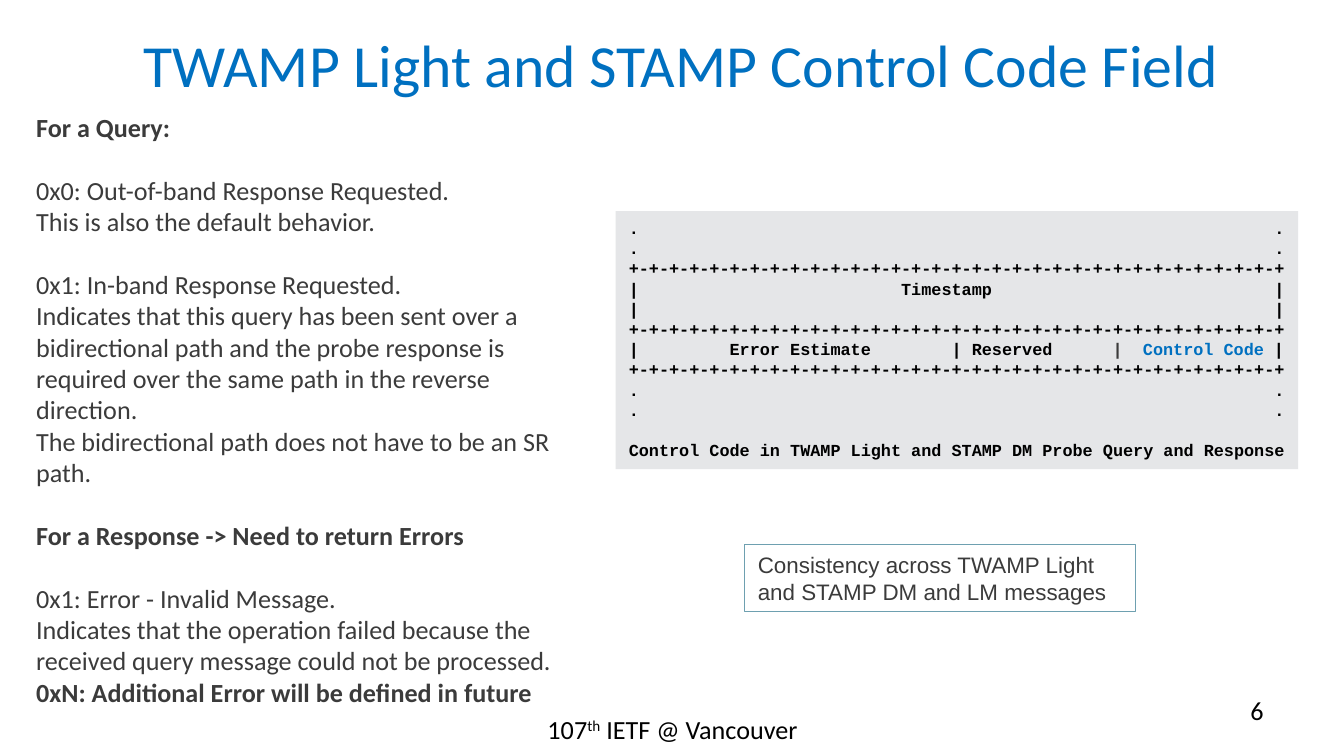
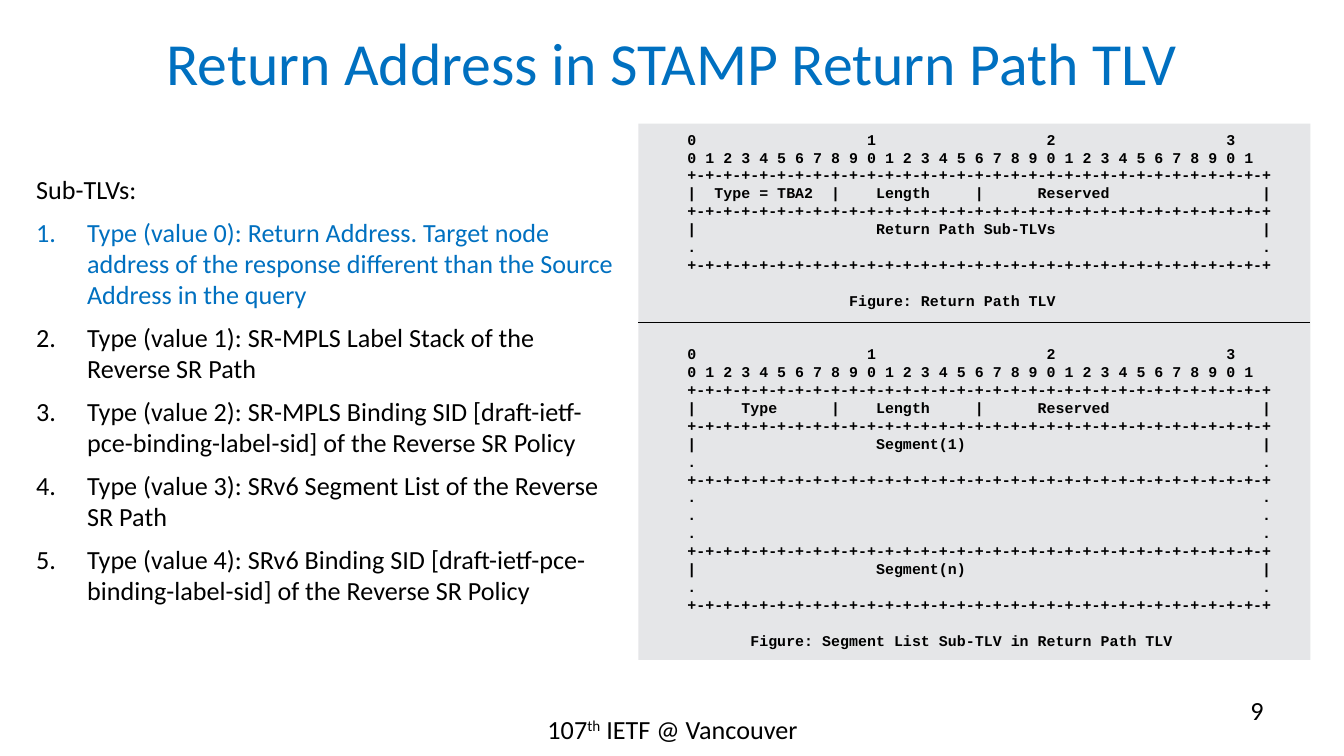
from lxml.etree import SubElement
from pptx import Presentation
from pptx.dml.color import RGBColor
from pptx.enum.shapes import MSO_CONNECTOR, MSO_SHAPE
from pptx.enum.text import MSO_ANCHOR, MSO_AUTO_SIZE, PP_ALIGN
from pptx.oxml.ns import qn
from pptx.util import Inches, Pt

COLORS = {
    "accent": "0070C0", "text": "000000", "soft": "3B3B3B",
    "panel": "E5E6E8", "border": "6EA0B0",
}
BODY, CODE, NOTE = "Calibri", "Courier New", "Arial"

RULE = "+-" * 32 + "+"
DOTS = "." + " " * 63 + "."
EMPTY_ROW = "|" + " " * 63 + "|"
BITS = [
    "0                   1                   2                   3",
    " ".join(str(i % 10) for i in range(32)),
]

CONTROL_CODE_FIGURE = [
    DOTS, DOTS, RULE,
    "|                          Timestamp                            |",
    EMPTY_ROW, RULE,
    ["|         Error Estimate        | Reserved      ", ("|", {"color": "soft"}),
     ("  Control Code ", {"color": "accent"}), "|"],
    RULE, DOTS, DOTS, "",
    "Control Code in TWAMP Light and STAMP DM Probe Query and Response",
]
RETURN_PATH_FIGURE = [
    *BITS, RULE,
    "|  Type = TBA2  |    Length     |      Reserved                 |", RULE,
    "|                    Return Path Sub-TLVs                       |", DOTS, RULE, "",
    "                  Figure: Return Path TLV",
]
SEGMENT_LIST_FIGURE = [
    *BITS, RULE,
    "|     Type      |    Length     |      Reserved                 |", RULE,
    "|                    Segment(1)                                 |", DOTS, RULE,
    DOTS, DOTS, DOTS, RULE,
    "|                    Segment(n)                                 |", DOTS, RULE, "",
    "       Figure: Segment List Sub-TLV in Return Path TLV",
]
STRONG = {"bold": True}
CODE_VALUES = [
    [("For a Query:", STRONG)], "",
    "0x0: Out-of-band Response Requested.",
    "This is also the default behavior.", "",
    "0x1: In-band Response Requested.",
    "Indicates that this query has been sent over a bidirectional path and the probe "
    "response is required over the same path in the reverse direction.",
    "The bidirectional path does not have to be an SR path.", "",
    [("For a Response -> Need to return Errors", STRONG)], "",
    "0x1: Error - Invalid Message.",
    "Indicates that the operation failed because the received query message could "
    "not be processed.",
    [("0xN: Additional Error will be defined in future", STRONG)],
]
SUB_TLVS = [
    [("Type (value 0): Return Address. Target node address of the response different "
      "than the Source Address in the query", {"color": "accent"})],
    "Type (value 1): SR-MPLS Label Stack of the Reverse SR Path",
    "Type (value 2): SR-MPLS Binding SID [draft-ietf-pce-binding-label-sid] of the "
    "Reverse SR Policy",
    "Type (value 3): SRv6 Segment List of the Reverse SR Path",
    "Type (value 4): SRv6 Binding SID [draft-ietf-pce-binding-label-sid] of the "
    "Reverse SR Policy",
]


def rgb(name):
    return RGBColor.from_string(COLORS[name])


def add_run(p, text, size=14, font=BODY, color="text", bold=False, raised=False):
    r = p.add_run()
    r.text = text
    r.font.size, r.font.name, r.font.bold = Pt(size), font, bold
    r.font.color.rgb = rgb(color)
    if raised:
        r.font._element.set("baseline", "30000")


def write(tf, lines, align=PP_ALIGN.LEFT, before=0, size=14, **fmt):
    """Fill a frame; an empty line becomes one line of space before the next."""
    gap, first = 0, True
    for line in lines:
        if not line:
            gap += size * 1.2
            continue
        p = tf.paragraphs[0] if first else tf.add_paragraph()
        p.alignment = align
        p.space_before = Pt(0 if first else gap + before)
        for part in [line] if isinstance(line, str) else line:
            text, extra = (part, {}) if isinstance(part, str) else part
            add_run(p, text, **{"size": size, **fmt, **extra})
        gap, first = 0, False


def add_text(s, box, lines, anchor=MSO_ANCHOR.TOP, **fmt):
    tf = s.shapes.add_textbox(*map(Inches, box)).text_frame
    tf.word_wrap = True
    tf.vertical_anchor = anchor
    write(tf, lines, **fmt)
    return tf


def add_panel(s, box, lines, fill=None, line=None, **fmt):
    """Rectangle that grows with its text."""
    sp = s.shapes.add_shape(MSO_SHAPE.RECTANGLE, *map(Inches, box))
    sp.shadow.inherit = False
    if fill:
        sp.fill.solid()
        sp.fill.fore_color.rgb = rgb(fill)
    else:
        sp.fill.background()
    if line:
        sp.line.color.rgb = rgb(line)
        sp.line.width = Pt(0.75)
    else:
        sp.line.fill.background()
    tf = sp.text_frame
    tf.word_wrap = True
    tf.auto_size = MSO_AUTO_SIZE.SHAPE_TO_FIT_TEXT
    tf.vertical_anchor = MSO_ANCHOR.TOP
    write(tf, lines, **fmt)


def add_code(s, box, lines, size):
    add_panel(s, box, lines, fill="panel", size=size, font=CODE, bold=True)


def add_divider(s, x, y, width):
    c = s.shapes.add_connector(
        MSO_CONNECTOR.STRAIGHT, Inches(x), Inches(y), Inches(x + width), Inches(y))
    c.line.color.rgb = rgb("text")
    c.line.width = Pt(0.75)
    SubElement(c._element.spPr, qn("a:effectLst"))


def add_numbered_list(s, box, heading, items):
    tf = add_text(s, box, [heading, *items], before=6)
    for p in tf.paragraphs[1:]:
        pPr = p._p.get_or_add_pPr()
        pPr.set("marL", str(Inches(0.38)))
        pPr.set("indent", str(-Inches(0.38)))
        SubElement(pPr, qn("a:buFont"), typeface="+mj-lt")
        SubElement(pPr, qn("a:buAutoNum"), type="arabicPeriod")


def add_base_slide(prs, title, title_at, number):
    """Blank slide with the shared title style, footer and page number."""
    s = prs.slides.add_slide(prs.slide_layouts[6])
    add_text(s, (*title_at, 9.5, 0.94), [title], anchor=MSO_ANCHOR.MIDDLE,
             align=PP_ALIGN.CENTER, size=32, color="accent")
    add_text(s, (3.42, 5.26, 3.17, 0.39),
             [["107", ("th", {"raised": True}), " IETF @ Vancouver"]],
             align=PP_ALIGN.CENTER)
    add_text(s, (7.17, 5.12, 2.33, 0.39), [str(number)], align=PP_ALIGN.RIGHT)
    return s


def control_code_slide(prs):
    s = add_base_slide(prs, "TWAMP Light and STAMP Control Code Field", (0.32, 0), 6)
    add_code(s, (4.58, 1.57, 5.08, 1.92), CONTROL_CODE_FIGURE, 9)
    add_text(s, (0.17, 0.78, 4.08, 4.58), CODE_VALUES, color="soft")
    add_panel(s, (5.54, 4.05, 2.91, 0.5),
              ["Consistency across TWAMP Light and STAMP DM and LM messages"],
              line="border", size=12, font=NOTE, color="soft")


def return_path_slide(prs):
    s = add_base_slide(prs, "Return Address in STAMP Return Path TLV", (0.25, -0.01), 9)
    x, y, width, height = 4.75, 0.92, 5, 3.99
    figures = [*RETURN_PATH_FIGURE, "", "", *SEGMENT_LIST_FIGURE]
    add_code(s, (x, y, width, height),
             [line and "    " + line for line in figures], 8)
    add_numbered_list(s, (0.17, 1.24, 4.5, 3.32), "Sub-TLVs:", SUB_TLVS)
    add_divider(s, x, y + 1.48, width)


def main():
    prs = Presentation()
    prs.slide_width = Inches(10)
    prs.slide_height = prs.slide_width * 9 // 16
    control_code_slide(prs)
    return_path_slide(prs)
    prs.save("out.pptx")


if __name__ == "__main__":
    main()
